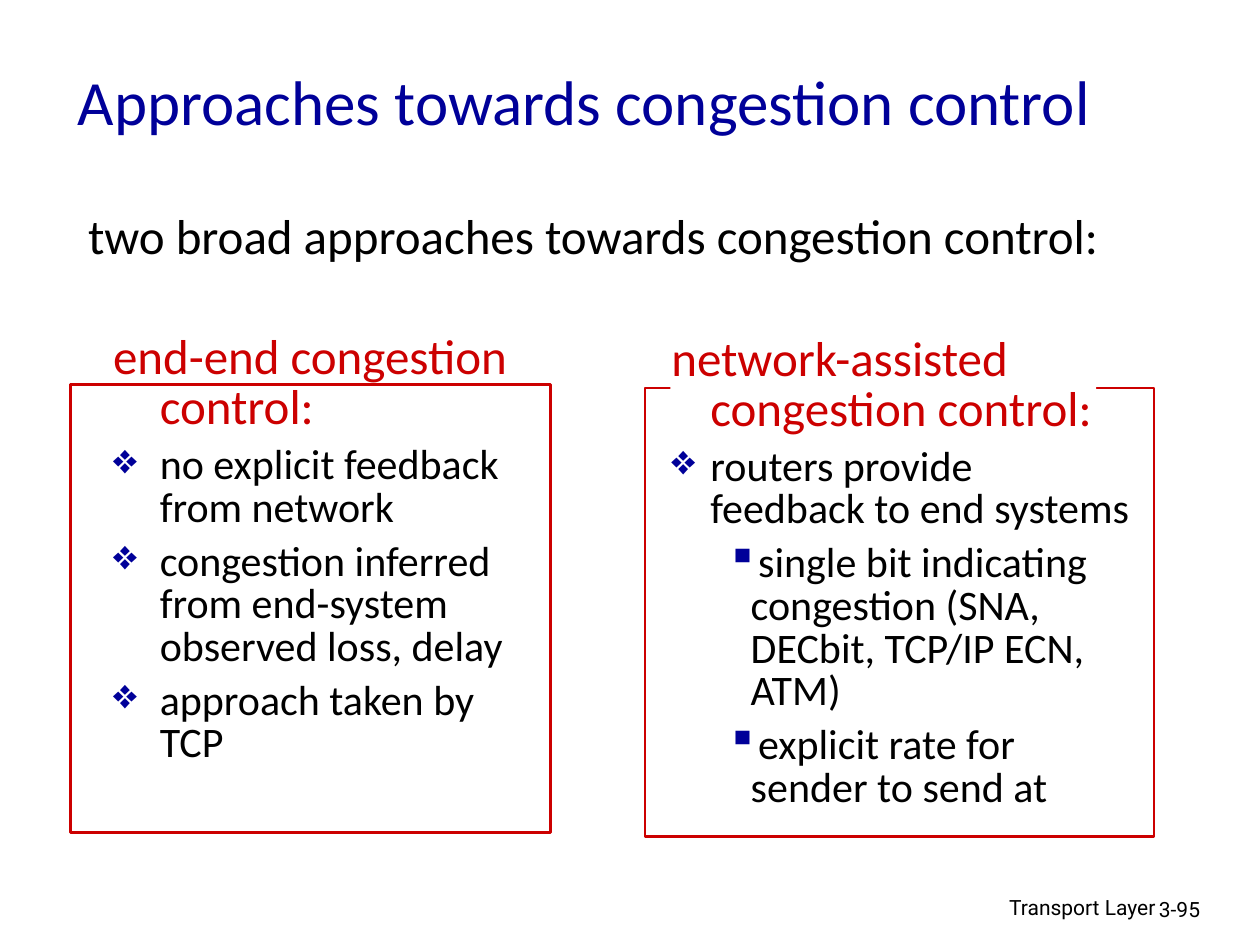
from lxml.etree import SubElement
from pptx import Presentation
from pptx.dml.color import RGBColor
from pptx.enum.shapes import MSO_SHAPE
from pptx.enum.text import MSO_ANCHOR, PP_ALIGN
from pptx.oxml.ns import qn
from pptx.util import Inches, Pt

BLUE, RED, BLACK, WHITE = "000099", "CC0000", "000000", "FFFFFF"
rgb = RGBColor.from_string

deck = Presentation()
deck.slide_width, deck.slide_height = Inches(10), Inches(7.5)
slide = deck.slides.add_slide(deck.slide_layouts[6])


def add_box(x, y, w, h, anchor=MSO_ANCHOR.TOP):
    frame = slide.shapes.add_textbox(Inches(x), Inches(y), Inches(w), Inches(h)).text_frame
    frame.word_wrap = True
    frame.vertical_anchor = anchor
    return frame


def write(frame, text, size=24, color=BLACK, font="Calibri", align=PP_ALIGN.LEFT,
          left=0, hang=0, line=None, bullet=None, level=0):
    first = not frame.text
    par = frame.paragraphs[0] if first else frame.add_paragraph()
    par.alignment, par.level = align, level
    if line:
        par.line_spacing = line
    if not first:
        par.space_before = Pt(6)
    props = par._p.get_or_add_pPr()
    props.set("marL", str(Inches(left)))
    props.set("indent", str(-Inches(hang)))
    if bullet:
        tint = SubElement(props, qn("a:buClr"))
        SubElement(tint, qn("a:srgbClr"), val=BLUE)
        SubElement(props, qn("a:buChar"), char=bullet)
    else:
        SubElement(props, qn("a:buNone"))
    run = par.add_run()
    run.text = text
    run.font.size, run.font.name = Pt(size), font
    run.font.color.rgb = rgb(color)


# Footer and page number
write(add_box(6.1, 7.05, 3.17, 0.31), "Transport Layer", size=12, font="Roboto", align=PP_ALIGN.RIGHT)
write(add_box(9.1, 7.07, 0.74, 0.3), "3-95", size=12, font="Roboto")

# Title and lead line
write(add_box(0.52, 0.3, 8.5, 1, MSO_ANCHOR.MIDDLE), "Approaches towards congestion control",
      size=36, color=BLUE)
write(add_box(0.59, 1.65, 8.92, 0.6), "two broad approaches towards congestion control:",
      size=28, left=0.38, hang=0.37, line=0.85)

# Red frames, with a white gap behind the right heading
for x, y, w, h, fill, edge in [
    (0.56, 3.05, 3.81, 3.56, None, RED),
    (5.12, 3.08, 4.04, 3.56, None, RED),
    (5.32, 2.79, 3.38, 0.62, WHITE, None),
]:
    rect = slide.shapes.add_shape(MSO_SHAPE.RECTANGLE, Inches(x), Inches(y), Inches(w), Inches(h))
    rect.shadow.inherit = False
    if fill:
        rect.fill.solid()
        rect.fill.fore_color.rgb = rgb(fill)
    else:
        rect.fill.background()
    if edge:
        rect.line.color.rgb = rgb(edge)
        rect.line.width = Pt(1.5)
    else:
        rect.line.fill.background()

# Two columns: place, indent, heading, then (level, text) points
columns = [
    ((0.79, 2.61, 3.6, 4.17), (0.38, 0.37), "end-end congestion control:", [
        (0, "no explicit feedback from network"),
        (0, "congestion inferred from end-system observed loss, delay"),
        (0, "approach taken by TCP"),
    ]),
    ((5.23, 2.62, 3.88, 4.27), (0.31, 0.31), "network-assisted congestion control:", [
        (0, "routers provide feedback to end systems"),
        (1, "single bit indicating congestion (SNA, DECbit, TCP/IP ECN, ATM)"),
        (1, "explicit rate for sender to send at"),
    ]),
]
for place, (left, hang), head, points in columns:
    frame = add_box(*place)
    write(frame, head, size=28, color=RED, left=left, hang=hang, line=0.85)
    for level, text in points:
        inset, back = (0.63, 0.19) if level else (left, hang)
        write(frame, text, left=inset, hang=back, line=0.85, bullet="❖▪"[level], level=level)

deck.save("out.pptx")
